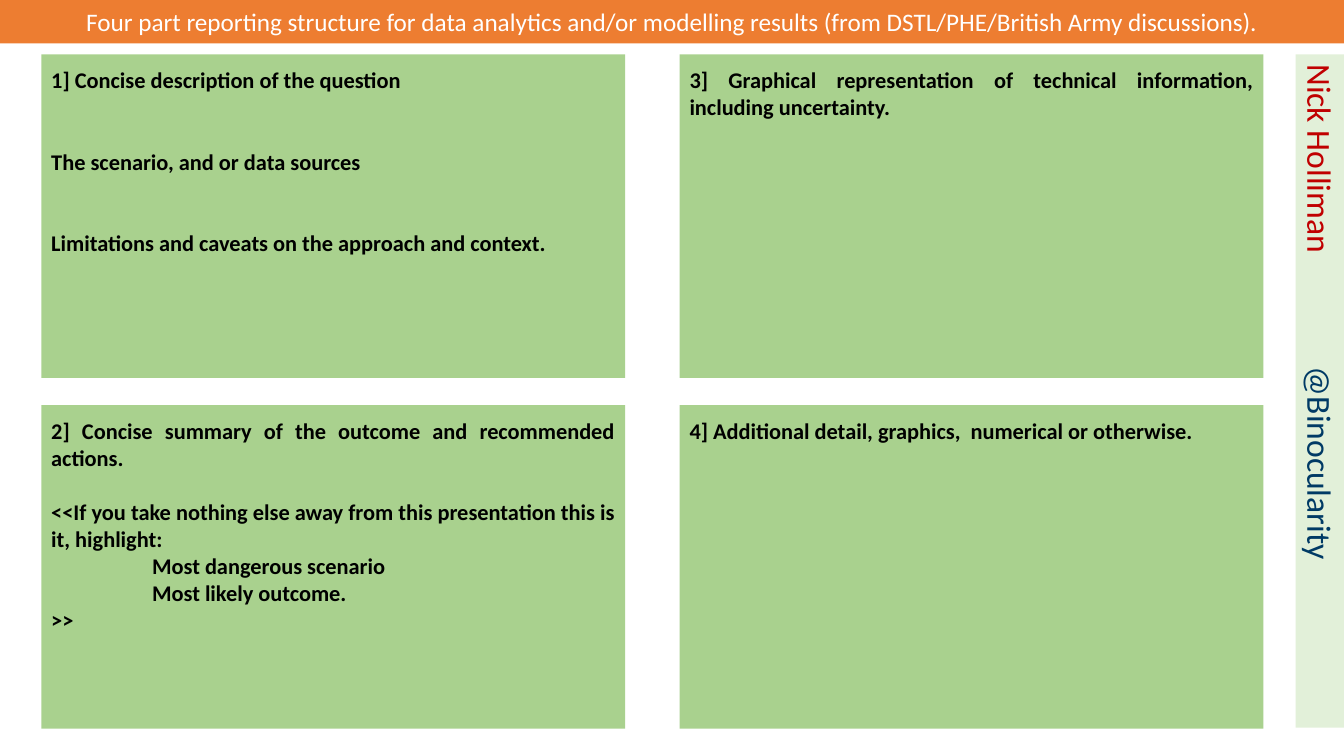
"""Build a slide with a four part reporting structure."""
from pptx import Presentation
from pptx.dml.color import RGBColor
from pptx.enum.shapes import MSO_SHAPE
from pptx.enum.text import MSO_ANCHOR, PP_ALIGN
from pptx.oxml import parse_xml
from pptx.oxml.ns import nsdecls
from pptx.util import Inches, Pt


def add_box(left, top, width, height, fill, anchor):
    box = slide.shapes.add_shape(MSO_SHAPE.RECTANGLE, Inches(left), Inches(top),
                                 Inches(width), Inches(height))
    box.shadow.inherit = False
    box.fill.solid()
    box.fill.fore_color.rgb = RGBColor.from_string(fill)
    box.line.fill.background()
    box.text_frame.word_wrap = True
    box.text_frame.vertical_anchor = anchor
    return box


def style(run, size, color, bold=False):
    run.font.name = "Calibri"
    run.font.size = Pt(size)
    run.font.bold = bold
    run.font.color.rgb = RGBColor.from_string(color)


deck = Presentation()
deck.slide_width, deck.slide_height = Inches(13.33), Inches(7.5)
slide = deck.slides.add_slide(deck.slide_layouts[6])

LINE = 19.5
parts = [
    [("1] Concise description of the question", 0, 0),
     ("The scenario, and or data sources", 2, 0),
     ("Limitations and caveats on the approach and context.", 2, 0)],
    [("3] Graphical representation of technical information, including uncertainty.", 0, 0)],
    [("2] Concise summary of the outcome and recommended actions.", 0, 0),
     ("<<If you take nothing else away from this presentation this is it, highlight:", 1, 0),
     ("Most dangerous scenario", 0, 1),
     ("Most likely outcome.", 0, 1),
     (">>", 0, 0)],
    [("4] Additional detail, graphics,  numerical or otherwise.", 0, 0)],
]
for i, lines in enumerate(parts):
    row, col = divmod(i, 2)
    box = add_box(0.41 + col * 6.33, 0.54 + row * 3.48, 5.79, 3.21, "A9D18E", MSO_ANCHOR.TOP)
    frame = box.text_frame
    frame.margin_top = Inches(0.12)
    frame.text = "\n".join(text for text, gap, indent in lines)
    for para, (text, gap, indent) in zip(frame.paragraphs, lines):
        para.alignment = PP_ALIGN.JUSTIFY
        para.space_before = Pt(gap * LINE)
        para._p.get_or_add_pPr().set("marL", str(Inches(indent)))
        style(para.runs[0], 16, "000000", True)

title = add_box(0, 0, 13.33, 0.43, "ED7D31", MSO_ANCHOR.MIDDLE)
title.text_frame.text = ("Four part reporting structure for data analytics and/or modelling "
                         "results (from DSTL/PHE/British Army discussions).")
para = title.text_frame.paragraphs[0]
para.alignment = PP_ALIGN.CENTER
style(para.runs[0], 18, "FFFFFF")

side = add_box(9.76, 3.63, 6.68, 0.5, "E2F0D9", MSO_ANCHOR.TOP)
side.rotation = 90
para = side.text_frame.paragraphs[0]
para.alignment = PP_ALIGN.LEFT
para._p.get_or_add_pPr().append(parse_xml(
    f'<a:tabLst {nsdecls("a")}><a:tab pos="{Inches(3)}" algn="l"/></a:tabLst>'))
for text, color in [("Nick Holliman\t", "C00000"), ("@Binocularity", "003A65")]:
    run = para.add_run()
    run.text = text
    style(run, 24, color)

deck.save("out.pptx")
